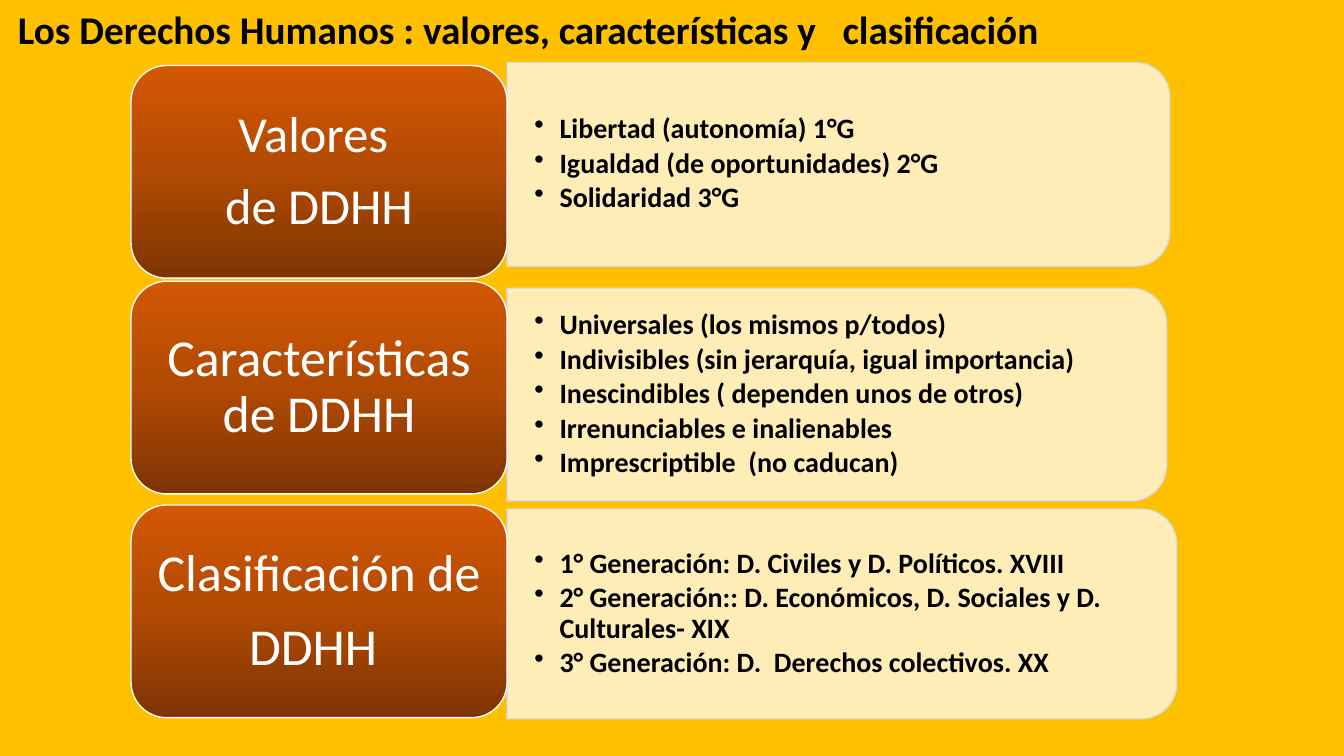
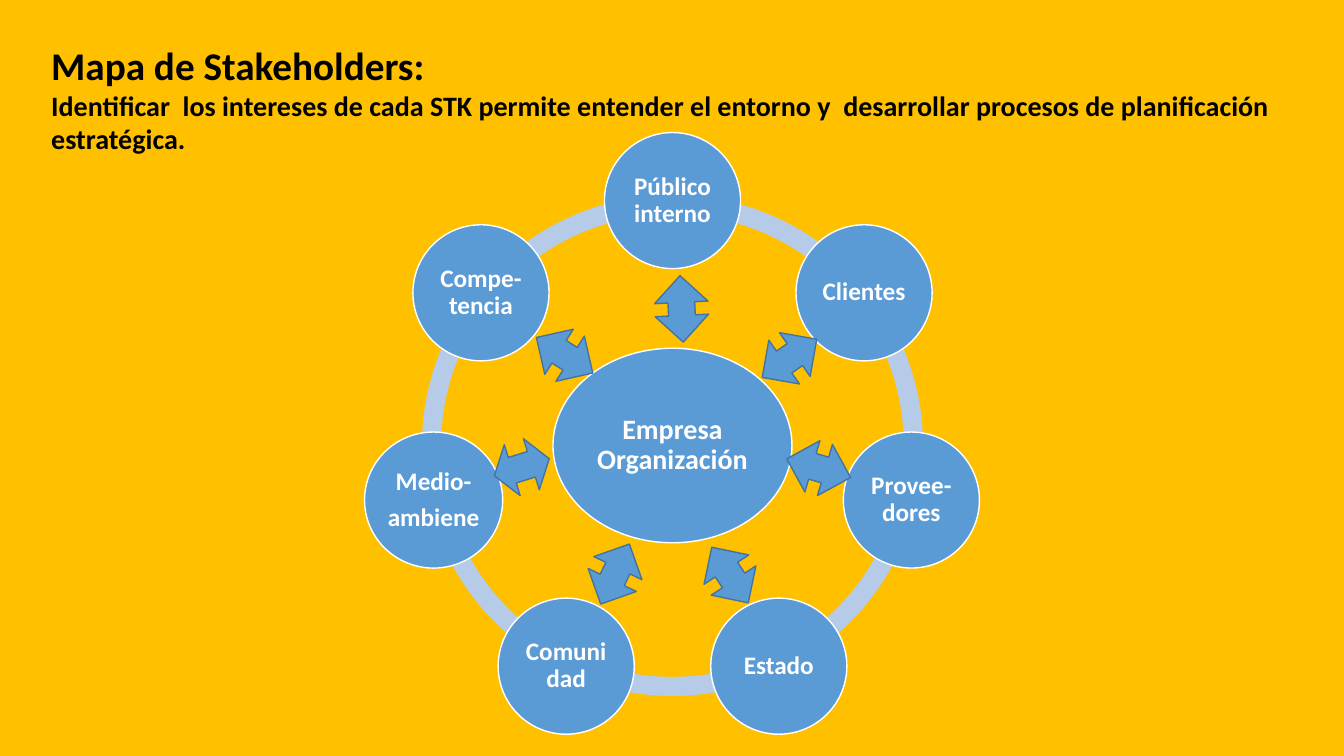
from copy import deepcopy
from math import cos, pi, sin

from lxml.etree import SubElement
from pptx import Presentation
from pptx.dml.color import RGBColor
from pptx.enum.shapes import MSO_SHAPE
from pptx.enum.text import MSO_ANCHOR, PP_ALIGN
from pptx.oxml.ns import qn
from pptx.util import Inches, Pt


def color(text):
    return RGBColor.from_string(text)


class Deck:
    FONT = "Calibri"
    BACK, INK, WHITE = "FFC000", "000000", "FFFFFF"
    CREAM, EDGE = "FFF2CC", "D2DEEF"
    BLUE, NAVY, PALE = "5B9BD5", "43739E", "B5CBE7"
    RUST = ((0, "7D3402"), (0.5, "B24A03"), (1, "D35704"))

    def __init__(self):
        self.prs = Presentation()
        self.prs.slide_width = Inches(13.33)
        self.prs.slide_height = Inches(7.5)

    def page(self):
        self.slide = self.prs.slides.add_slide(self.prs.slide_layouts[6])
        fill = self.slide.background.fill
        fill.solid()
        fill.fore_color.rgb = color(self.BACK)

    def shape(self, kind, box, fill, line=None):
        shape = self.slide.shapes.add_shape(kind, *map(Inches, box))
        shape.shadow.inherit = False
        shape.fill.solid()
        shape.fill.fore_color.rgb = color(fill)
        if line:
            shape.line.color.rgb = color(line)
            shape.line.width = Pt(1)
        else:
            shape.line.fill.background()
        return shape

    def label(self, shape, lines, size, ink=WHITE, bold=True, ratio=0.35,
              pads=(0.03, 0.03), bullet=False):
        """Fill a shape with centred or bulleted lines; ratio sets the gap after each."""
        frame = shape.text_frame
        frame.word_wrap = True
        frame.vertical_anchor = MSO_ANCHOR.MIDDLE
        frame.margin_left = frame.margin_right = Inches(pads[0])
        frame.margin_top = frame.margin_bottom = Inches(pads[1])
        frame.text = "\n".join(lines)
        for para in frame.paragraphs:
            para.alignment = PP_ALIGN.LEFT if bullet else PP_ALIGN.CENTER
            para.line_spacing = 0.9
            para.space_after = Pt(round(size * ratio, 1))
            if bullet:
                self.dot(para)
            self.style(para, size, ink, bold)

    def dot(self, para):
        props = para._p.get_or_add_pPr()
        props.set("marL", str(Inches(0.25)))
        props.set("indent", str(-Inches(0.25)))
        SubElement(props, qn("a:buChar")).set("char", "•")

    def style(self, para, size, ink, bold):
        font = para.font
        font.name, font.size, font.bold = self.FONT, Pt(size), bold
        font.color.rgb = color(ink)

    def title(self, box, *parts):
        """Add a heading made of (text, size) paragraphs."""
        frame = self.slide.shapes.add_textbox(*map(Inches, box)).text_frame
        frame.word_wrap = True
        frame.text = "\n".join(text for text, _ in parts)
        for para, (_, size) in zip(frame.paragraphs, parts):
            self.style(para, size, self.INK, True)

    def panel(self, left, top, width, height, lines):
        """Add a bulleted panel with its right corners rounded."""
        shift = (width - height) / 2
        box = (left + shift, top - shift, height, width)
        shape = self.shape(MSO_SHAPE.ROUND_2_SAME_RECTANGLE, box, self.CREAM, self.EDGE)
        shape.rotation = 90
        for tone in shape._element.spPr.iter(qn("a:srgbClr")):
            SubElement(tone, qn("a:alpha")).set("val", "90000")
        area = map(Inches, (left, top, width - 0.1, height))
        self.label(self.slide.shapes.add_textbox(*area), lines, 20, self.INK,
                   ratio=0.15, pads=(0.27, 0.14), bullet=True)

    def card(self, box, lines, size):
        shape = self.shape(MSO_SHAPE.ROUNDED_RECTANGLE, box, self.BLUE, self.WHITE)
        fill = shape.fill
        fill.gradient()
        fill.gradient_angle = 90
        stops = shape._element.spPr.find(".//" + qn("a:gsLst"))
        stops.insert(1, deepcopy(stops[0]))
        for stop, (place, tone) in zip(fill.gradient_stops, self.RUST):
            stop.position = place
            stop.color.rgb = color(tone)
        self.label(shape, lines, size, bold=False, pads=(0.15, 0.07))

    def oval(self, mid, width, height, lines, size):
        box = (mid[0] - width / 2, mid[1] - height / 2, width, height)
        shape = self.shape(MSO_SHAPE.OVAL, box, self.BLUE, self.WHITE)
        self.label(shape, lines, size)

    def ring(self, mid, size, band):
        box = (mid[0] - size / 2, mid[1] - size / 2, size, size)
        shape = self.shape(MSO_SHAPE.DONUT, box, self.PALE)
        shape.adjustments[0] = band / size

    def arrow(self, left, top, angle, width=0.66, head=0.5):
        box = (left, top, width, 0.53)
        shape = self.shape(MSO_SHAPE.LEFT_RIGHT_ARROW, box, self.BLUE, self.NAVY)
        shape.adjustments[1] = head
        shape.rotation = angle


def rights(deck):
    rows = (
        (0.65, ["Valores ", "de DDHH"], 36, (0.62, 6.57, 2.02),
         ["Libertad (autonomía) 1°G", "Igualdad (de oportunidades) 2°G",
          "Solidaridad 3°G"]),
        (2.79, ["Características de DDHH"], 37, (2.86, 6.54, 2.11),
         ["Universales (los mismos p/todos)",
          "Indivisibles (sin jerarquía, igual importancia)",
          "Inescindibles ( dependen unos de otros)",
          "Irrenunciables e inalienables", "Imprescriptible  (no caducan)"]),
        (5.01, ["Clasificación de", "DDHH "], 37, (5.05, 6.64, 2.08),
         ["1° Generación: D. Civiles y D. Políticos. XVIII",
          "2° Generación:: D. Económicos, D. Sociales y D. Culturales- XIX",
          "3° Generación: D.  Derechos colectivos. XX"]),
    )
    deck.page()
    for top, name, size, (edge, width, height), points in rows:
        deck.panel(5.03, edge, width, height, points)
        deck.card((1.3, top, 3.73, 2.11), name, size)
    deck.title((0.08, 0, 13.25, 0.57),
               ("Los Derechos Humanos : valores, características y   clasificación", 28))


def stakes(deck):
    mid, reach, size = (6.67, 4.42), 2.43, 1.35
    nodes = (
        (["Público interno"], size), (["Clientes"], size), (["Provee-dores"], size),
        (["Estado"], size), (["Comunidad"], size), (["Medio-", "ambiene"], 1.37),
        (["Compe-tencia"], size),
    )
    arrows = (
        (5.27, 3.26, 32.2), (6.43, 2.8, 87.2), (7.79, 4.38, 16.3), (7.5, 3.29, 145),
        (6.91, 5.44, 56.7), (4.89, 4.37, 162.7, 0.57, 0.35), (5.77, 5.43, 115.5),
    )
    deck.page()
    deck.ring(mid, 4.97, 0.19)
    deck.oval(mid, 2.37, 1.93, ["Empresa Organización"], 20)
    for step, (lines, width) in enumerate(nodes):
        turn = 2 * pi * step / len(nodes)
        spot = (mid[0] + reach * sin(turn), mid[1] - reach * cos(turn))
        deck.oval(spot, width, size, lines, 18)
    deck.title((0.41, 0.36, 12.73, 1.25), ("Mapa de Stakeholders:", 28),
               ("Identificar  los intereses de cada STK permite entender el entorno y  "
                "desarrollar procesos de planificación estratégica.", 20))
    for arrow in arrows:
        deck.arrow(*arrow)


def main():
    deck = Deck()
    rights(deck)
    stakes(deck)
    deck.prs.save("out.pptx")


if __name__ == "__main__":
    main()
